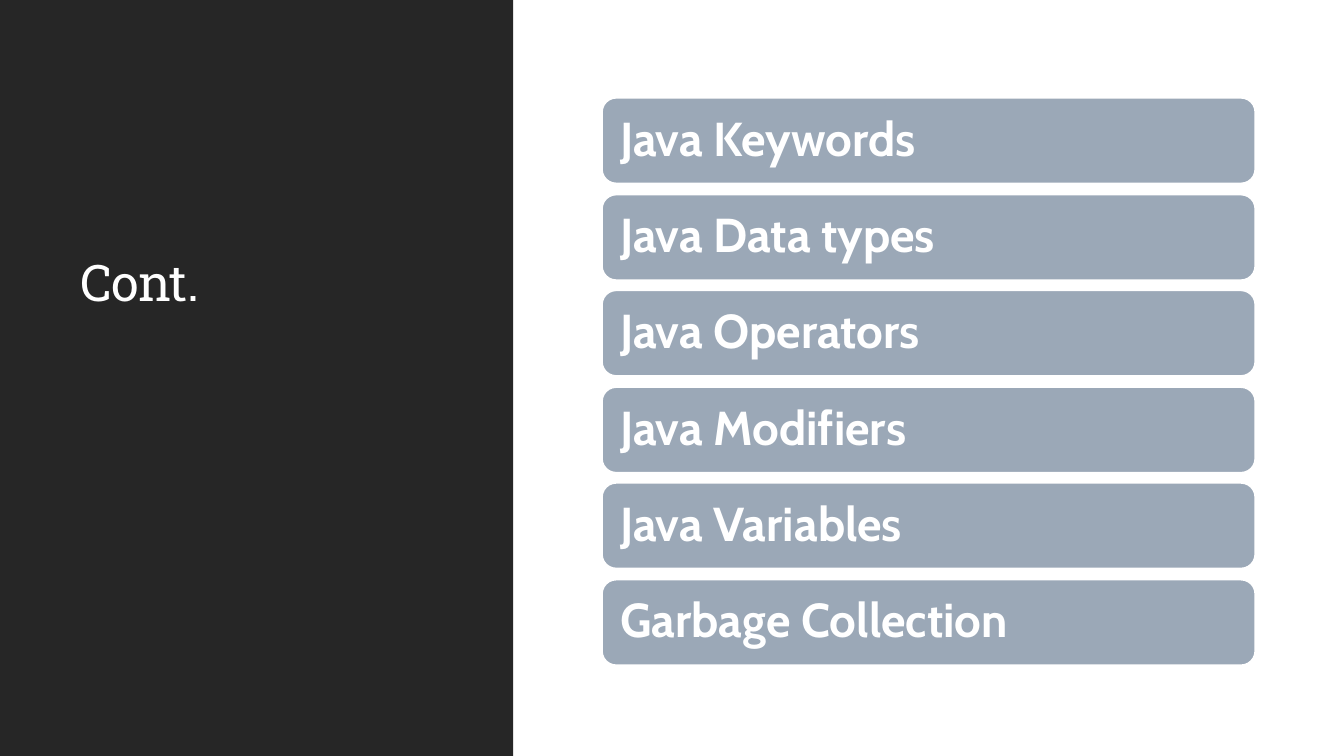
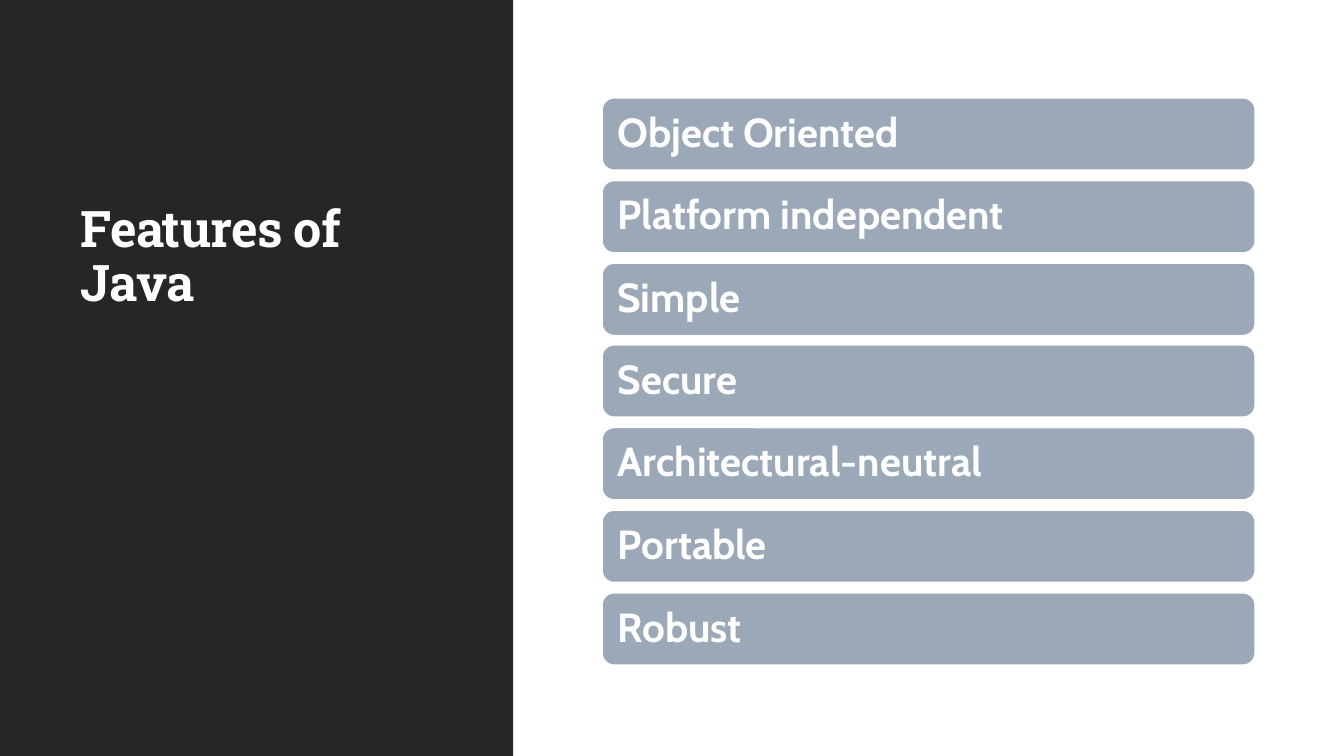
from pptx import Presentation
from pptx.dml.color import RGBColor
from pptx.enum.shapes import MSO_SHAPE as Shape
from pptx.enum.text import MSO_ANCHOR as Anchor, PP_ALIGN as Align
from pptx.util import Pt

# Shared style: lengths in px, 100 px to the inch
PX = 9144
SLIDE_W, SLIDE_H = 1333, 750
PANEL_W = 509
TITLE_BOX = (70, 86, 385, 229)
TITLE_FONT, TITLE_SIZE = "Roboto Slab", 36
BAR_FONT = "Cabin"
BAR_LEFT, BAR_W = 597, 648
STACK_TOP, STACK_BOTTOM = 97, 660
WHITE, PANEL, BAR = "FFFFFF", "262626", "9BA8B7"


def color(hex_code):
    return RGBColor.from_string(hex_code)


def emu(*lengths):
    return [length * PX for length in lengths]


def add_text(frame, text, font, size, bold, anchor):
    """Write one left-aligned white line of text into a frame."""
    frame.word_wrap = True
    frame.vertical_anchor = anchor
    paragraph = frame.paragraphs[0]
    paragraph.alignment = Align.LEFT
    paragraph.line_spacing = 0.9
    run = paragraph.add_run()
    run.text = text
    run.font.name = font
    run.font.size = Pt(size)
    run.font.bold = bold
    run.font.color.rgb = color(WHITE)
    return run


def add_block(slide, kind, box, fill):
    block = slide.shapes.add_shape(kind, *emu(*box))
    block.shadow.inherit = False
    block.fill.solid()
    block.fill.fore_color.rgb = color(fill)
    block.line.fill.background()
    return block


def add_title(slide, text, bold):
    title = slide.shapes.add_textbox(*emu(*TITLE_BOX))
    run = add_text(title.text_frame, text, TITLE_FONT, TITLE_SIZE, bold, Anchor.BOTTOM)
    run.font._element.set("spc", "-50")


def add_bar(slide, text, top, height, size, inset):
    bar = add_block(slide, Shape.ROUNDED_RECTANGLE, (BAR_LEFT, top, BAR_W, height), BAR)
    bar.line.color.rgb = color(WHITE)
    bar.line.width = Pt(1.25)
    frame = bar.text_frame
    frame.margin_left = frame.margin_right = inset * PX
    frame.margin_top = frame.margin_bottom = inset * PX
    add_text(frame, text, BAR_FONT, size, True, Anchor.MIDDLE)


def add_topic_slide(deck, title, topics, bar_height, size, inset, bold_title=False):
    """Dark title panel on the left, evenly spread topic bars on the right."""
    slide = deck.slides.add_slide(deck.slide_layouts[6])
    add_block(slide, Shape.RECTANGLE, (0, 0, PANEL_W, SLIDE_H), PANEL)
    add_title(slide, title, bold_title)
    pitch = (STACK_BOTTOM - STACK_TOP - bar_height) / (len(topics) - 1)
    for index, topic in enumerate(topics):
        add_bar(slide, topic, round(STACK_TOP + index * pitch), bar_height, size, inset)


def main():
    deck = Presentation()
    deck.slide_width, deck.slide_height = emu(SLIDE_W, SLIDE_H)

    # Remaining agenda
    add_topic_slide(
        deck, "Cont.",
        ["Java Keywords", "Java Data types", "Java Operators",
         "Java Modifiers", "Java Variables", "Garbage Collection"],
        bar_height=85, size=34, inset=14)

    # Language features
    add_topic_slide(
        deck, "Features of Java",
        ["Object Oriented", "Platform independent", "Simple", "Secure",
         "Architectural-neutral", "Portable", "Robust"],
        bar_height=72, size=29, inset=12, bold_title=True)

    deck.save("out.pptx")


if __name__ == "__main__":
    main()
